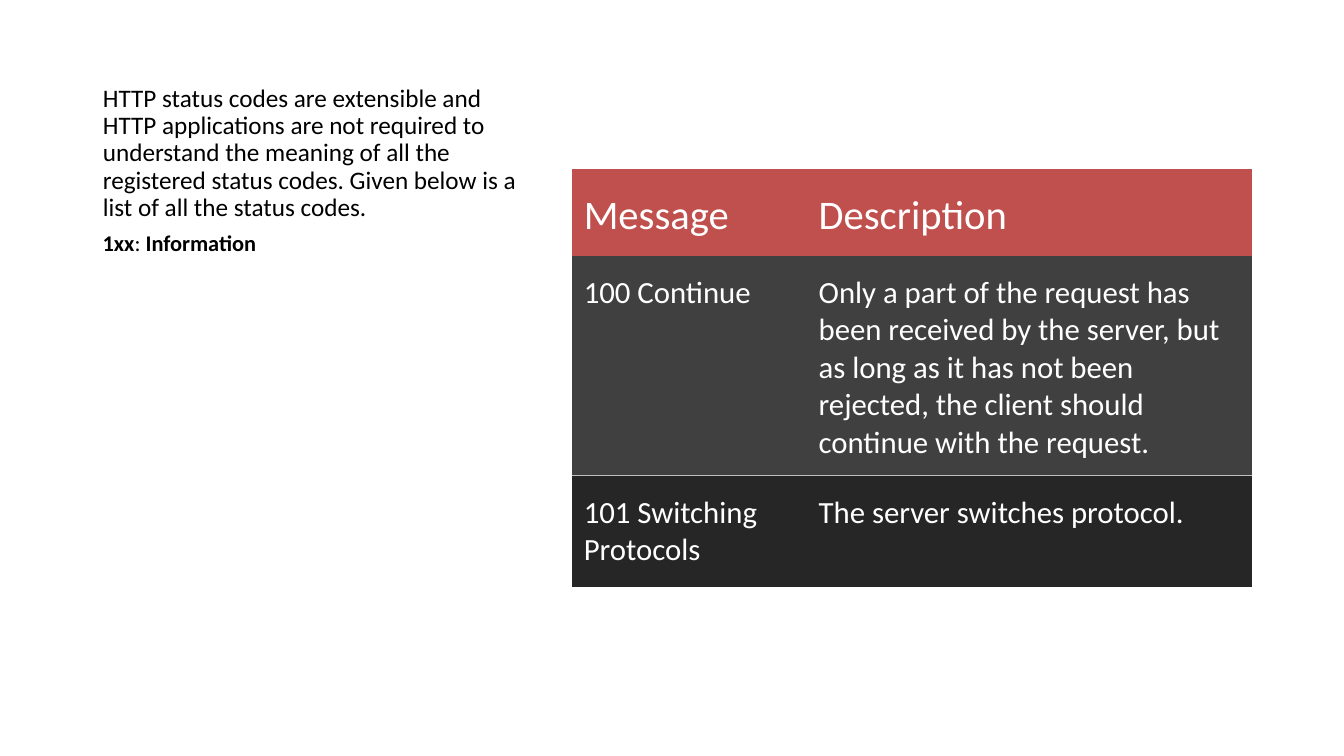
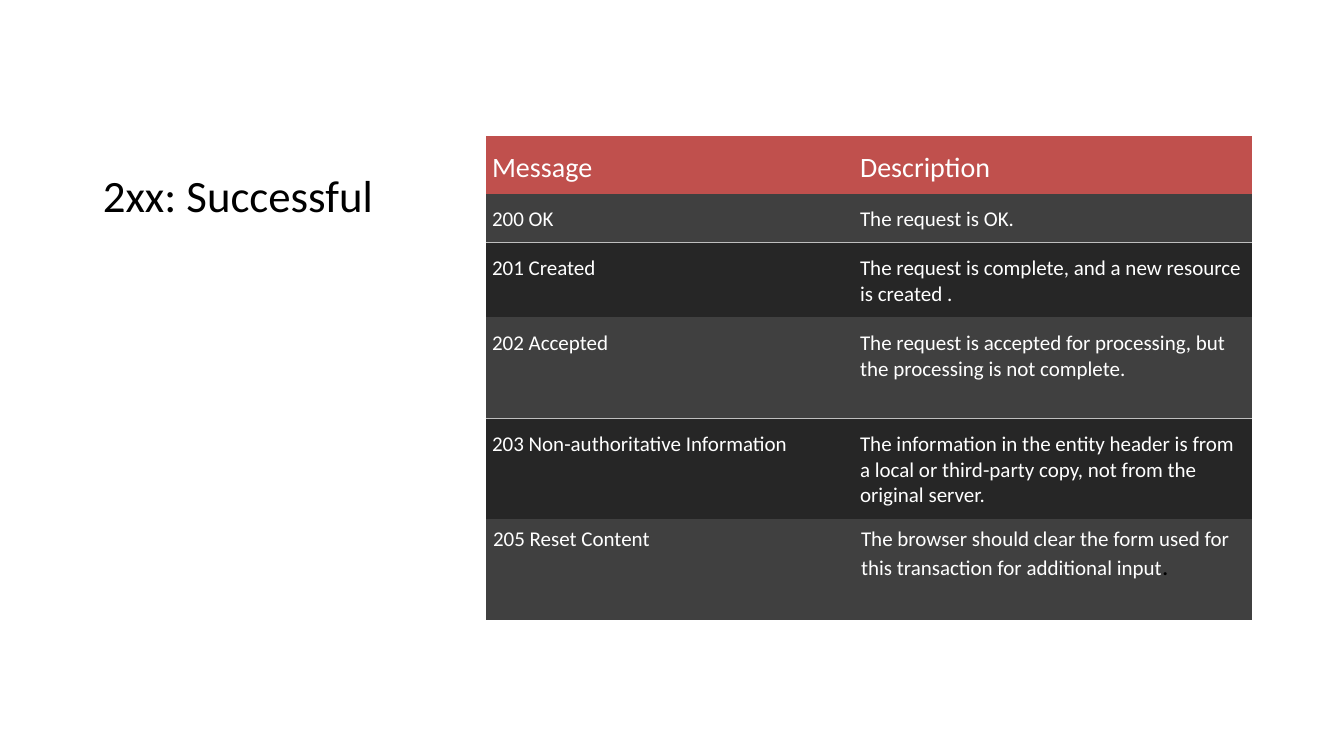
import dataclasses

import lxml.etree
import pptx
import pptx.dml.color
import pptx.enum.text
import pptx.oxml.ns
import pptx.util

PX = 9144  # EMU per px, 100 px to the inch


@dataclasses.dataclass(frozen=True)
class Theme:
    font: str = "Calibri"
    ink: str = "000000"
    paper: str = "FFFFFF"
    header: str = "C0504D"
    odd_row: str = "404040"
    even_row: str = "262626"
    rule: str = "BFBFBF"
    intro_size: int = 18
    heading_size: int = 32
    label_size: int = 16
    period_size: int = 18


THEME = Theme()
TITLE_BOX = [v * PX for v in (92, 50, 430, 175)]
LABEL_BOX = [v * PX for v in (92, 225, 430, 417)]
COLUMN_HEADS = ("Message", "Description")

STATUS_SLIDES = [
    {
        "title": "HTTP status codes are extensible and HTTP applications are not required to "
                 "understand the meaning of all the registered status codes. Given below is a "
                 "list of all the status codes.",
        "title_size": THEME.intro_size,
        "label": (("1xx", True), (": ", False), ("Information", True)),
        "corner": (567, 168),
        "columns": (233, 442),
        "heights": (86, 218, 110),
        "insets": [(12, 18, 12, 12)] * 3,
        "sizes": (29, 22),
        "codes": [
            ("100 Continue",
             "Only a part of the request has been received by the server, but as long as it "
             "has not been rejected, the client should continue with the request."),
            ("101 Switching Protocols", "The server switches protocol."),
        ],
        "period": "",
    },
    {
        "title": "2xx: Successful",
        "title_size": THEME.heading_size,
        "label": (),
        "corner": (482, 135),
        "columns": (365, 395),
        "heights": (57, 49, 74, 100, 100, 100),
        "insets": [(6, 13, 6, 6)] * 5 + [(7, 7, 7, 7)],
        "sizes": (20, 15),
        "codes": [
            ("200 OK", "The request is OK."),
            ("201 Created", "The request is complete, and a new resource is created ."),
            ("202 Accepted",
             "The request is accepted for processing, but the processing is not complete."),
            ("203 Non-authoritative Information",
             "The information in the entity header is from a local or third-party copy, "
             "not from the original server."),
            ("205 Reset Content",
             "The browser should clear the form used for this transaction for additional input"),
        ],
        "period": ".",
    },
]


def style_run(run, size, color, bold=False):
    run.font.name = THEME.font
    run.font.size = pptx.util.Pt(size)
    run.font.bold = bold
    run.font.color.rgb = pptx.dml.color.RGBColor.from_string(color)


def set_borders(cell, ruled_sides):
    """Draw a thin rule on the given sides and clear the others."""
    properties = cell._tc.get_or_add_tcPr()
    qn = pptx.oxml.ns.qn
    for side in "LRTB":
        line = lxml.etree.SubElement(properties, qn(f"a:ln{side}"), w=str(pptx.util.Pt(1)))
        if side in ruled_sides:
            fill = lxml.etree.SubElement(line, qn("a:solidFill"))
            lxml.etree.SubElement(fill, qn("a:srgbClr"), val=THEME.rule)
        else:
            lxml.etree.SubElement(line, qn("a:noFill"))


deck = pptx.Presentation()
deck.slide_width, deck.slide_height = 1333 * PX, 750 * PX
title_only = deck.slide_layouts[5]

for content in STATUS_SLIDES:
    slide = deck.slides.add_slide(title_only)

    # Title
    title = slide.shapes.title
    title.left, title.top, title.width, title.height = TITLE_BOX
    title.text_frame.text = content["title"]
    title.text_frame.word_wrap = True
    title.text_frame.auto_size = pptx.enum.text.MSO_AUTO_SIZE.NONE
    title.text_frame.vertical_anchor = pptx.enum.text.MSO_ANCHOR.BOTTOM
    heading = title.text_frame.paragraphs[0]
    heading.alignment = pptx.enum.text.PP_ALIGN.LEFT
    heading.line_spacing = 0.9
    heading.space_before = pptx.util.Pt(0)
    heading.space_after = pptx.util.Pt(6)
    style_run(heading.runs[0], content["title_size"], THEME.ink)

    # Class label under the title
    if content["label"]:
        label_frame = slide.shapes.add_textbox(*LABEL_BOX).text_frame
        label_frame.word_wrap = True
        label = label_frame.paragraphs[0]
        label.line_spacing = 0.9
        label.space_before = pptx.util.Pt(10)
        for words, bold in content["label"]:
            run = label.add_run()
            run.text = words
            style_run(run, THEME.label_size, THEME.ink, bold)

    # Status code table
    rows = [COLUMN_HEADS] + content["codes"]
    left, top = content["corner"]
    codes = slide.shapes.add_table(
        len(rows), len(COLUMN_HEADS), left * PX, top * PX,
        sum(content["columns"]) * PX, sum(content["heights"]) * PX).table
    for column, width in zip(codes.columns, content["columns"]):
        column.width = width * PX
    for r, row in enumerate(rows):
        codes.rows[r].height = content["heights"][r] * PX
        if r == 0:
            fill, size, ruled = THEME.header, content["sizes"][0], ""
        elif r % 2:
            fill, size = THEME.odd_row, content["sizes"][1]
            ruled = "B" if r < len(rows) - 1 else ""
        else:
            fill, size, ruled = THEME.even_row, content["sizes"][1], "T"
        for c, words in enumerate(row):
            cell = codes.cell(r, c)
            (cell.margin_left, cell.margin_top, cell.margin_right,
             cell.margin_bottom) = [v * PX for v in content["insets"][r]]
            cell.vertical_anchor = (pptx.enum.text.MSO_ANCHOR.TOP if r
                                    else pptx.enum.text.MSO_ANCHOR.MIDDLE)
            set_borders(cell, ruled)
            cell.fill.solid()
            cell.fill.fore_color.rgb = pptx.dml.color.RGBColor.from_string(fill)
            cell.text_frame.text = words
            style_run(cell.text_frame.paragraphs[0].runs[0], size, THEME.paper)

    # Closing period, set larger and in ink
    if content["period"]:
        last_cell = codes.cell(len(rows) - 1, len(COLUMN_HEADS) - 1)
        period = last_cell.text_frame.paragraphs[0].add_run()
        period.text = content["period"]
        style_run(period, THEME.period_size, THEME.ink)

deck.save("out.pptx")
